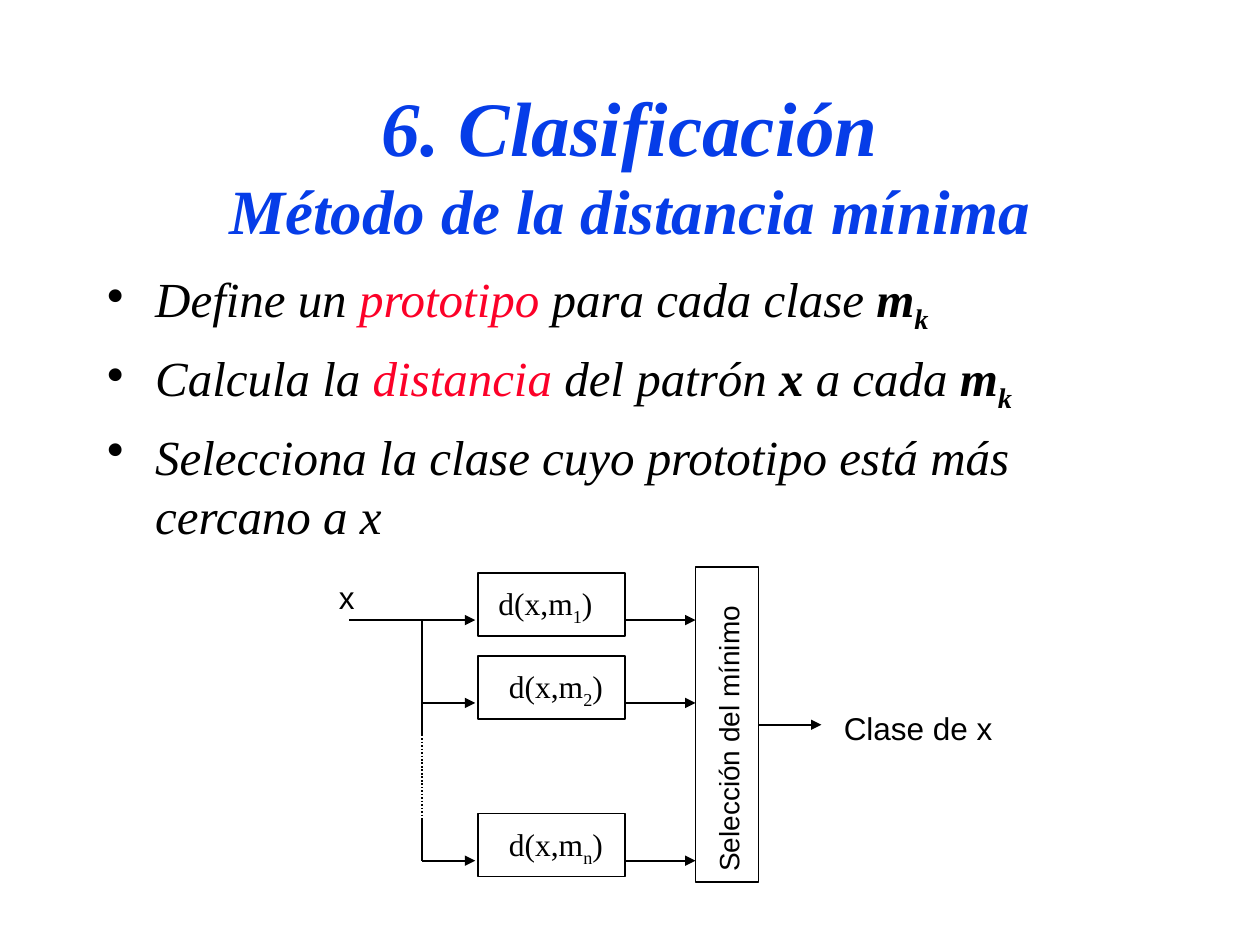
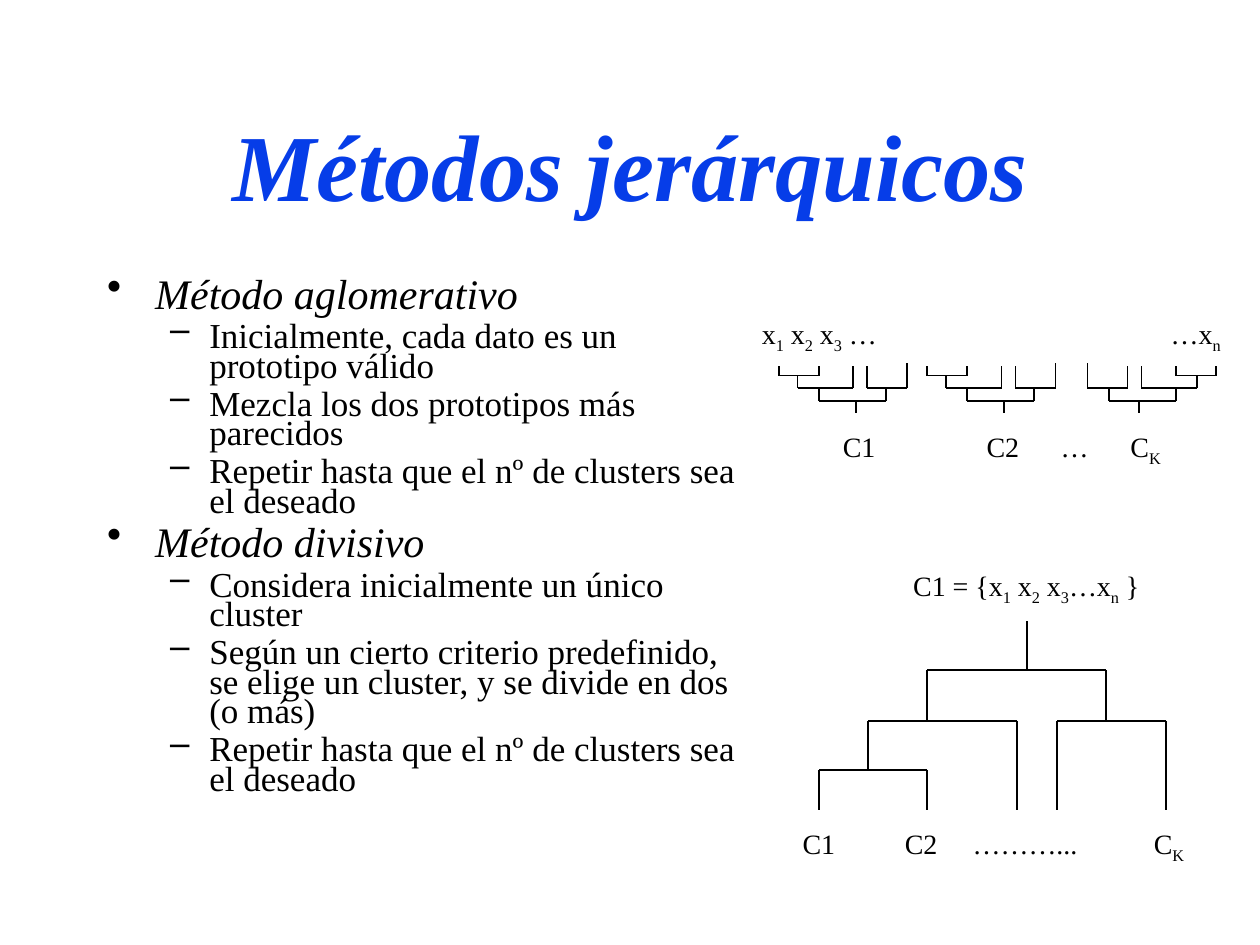
from lxml import etree
from pptx import Presentation
from pptx.dml.color import RGBColor
from pptx.enum.dml import MSO_LINE
from pptx.enum.shapes import MSO_CONNECTOR, MSO_SHAPE
from pptx.enum.text import MSO_ANCHOR, MSO_AUTO_SIZE, PP_ALIGN
from pptx.oxml.ns import qn
from pptx.util import Cm, Pt

STRAIGHT = MSO_CONNECTOR.STRAIGHT
RECT = MSO_SHAPE.RECTANGLE
DOTTED = MSO_LINE.ROUND_DOT
MIDDLE, TOP = MSO_ANCHOR.MIDDLE, MSO_ANCHOR.TOP
CENTER, LEFT = PP_ALIGN.CENTER, PP_ALIGN.LEFT
NO_FIT = MSO_AUTO_SIZE.NONE

BLUE = RGBColor(0x06, 0x3D, 0xE8)
RED = RGBColor(0xFC, 0x01, 0x28)
BLACK = RGBColor(0, 0, 0)
WHITE = RGBColor(0xFF, 0xFF, 0xFF)
SERIF, SANS = "Times New Roman", "Arial"

# Shared formats; positions are left, top, width, height in cm
TITLE_AT = (1.91, 1.7, 21.59, 3.18)
TITLE_FONT = dict(name=SERIF, bold=True, italic=True, color=BLUE)
BULLETS = [  # by level
    dict(char="•", margin=0.97, hanging=0.97),
    dict(char="–", margin=2.06, hanging=0.79),
]
STYLES = {
    "plain": {},
    "key": dict(color=RED),
    "bold": dict(bold=True),
    "sub": dict(subscript=True),
    "boldsub": dict(bold=True, subscript=True),
}

# Slide 1: minimum distance
DISTANCE_TITLE = [("6. Clasificación", 44), ("Método de la distancia mínima", 36)]
DISTANCE_AT = (1.91, 5.28, 21.59, 11.43)
DISTANCE_POINTS = [
    [("Define un ", "plain"), ("prototipo", "key"), (" para cada clase ", "plain"),
     ("m", "bold"), ("k", "boldsub")],
    [("Calcula la ", "plain"), ("distancia", "key"), (" del patrón", "plain"),
     (" x", "bold"), (" a cada ", "plain"), ("m", "bold"), ("k", "boldsub")],
    [("Selecciona la clase cuyo prototipo está más cercano a x", "plain")],
]
# Odd pieces between bars are subscripts: label, label left, line height
DISTANCES = [("d(x,m|1|)", 9.8, 12.5), ("d(x,m|2|)", 10.01, 14.17),
             ("d(x,m|n|)", 10.01, 17.35)]
INPUT_X, BRANCH_X, BOX_X, BOX_W, BOX_H = 7.04, 8.51, 9.63, 2.97, 1.27
SELECTOR = (14.02, 11.43, 1.27, 6.35)
TRUNK = [(12.5, 14.81, None), (14.6, 16.71, DOTTED), (16.51, 17.35, None)]
OUTPUT_Y, OUTPUT_LENGTH = 14.61, 1.27
FLOW_LABELS = [  # text, position, size, rotation
    ("x", (6.58, 11.53, 1.1, 1.02), 18, 0),
    ("Selección del mínimo", (11.56, 14.23, 6.24, 0.94), 16, 270),
    ("Clase de x", (16.76, 14.17, 3.8, 1.02), 18, 0),
]

# Slide 2: hierarchical methods
METHODS_TITLE = [("Métodos jerárquicos", 54)]
METHODS_AT = (1.91, 5.54, 13.39, 11.43)
METHODS = [
    ("Método aglomerativo", [
        "Inicialmente, cada dato es un prototipo válido",
        "Mezcla los dos prototipos más parecidos",
        "Repetir hasta que el nº de clusters sea el deseado"]),
    ("Método divisivo", [
        "Considera inicialmente un único cluster",
        "Según un cierto criterio predefinido, se elige un cluster, "
        "y se divide en dos (o más)",
        "Repetir hasta que el nº de clusters sea el deseado"]),
]
# Each fork: left x, right x, bar y, left leg end, right leg end
MERGE_FORKS = [
    (0, 0.81, 7.57, 7.37, 7.37),
    (0.38, 1.5, 7.82, 7.57, 7.37),
    (1.78, 2.59, 7.82, 7.37, 7.32),
    (0.81, 2.16, 8.08, 7.82, 7.82),
]
MERGE_STEM = (1.55, 8.08, 8.33)
CLUSTERS = [(15.7, 1), (18.69, 1), (24.51, -1)]  # origin, direction
SPLIT_FORKS = [
    (18.69, 22.3, 13.51, 14.53, 14.53),
    (17.5, 20.5, 14.53, 15.52, 16.33),
    (21.31, 23.5, 14.53, 16.33, 16.33),
    (16.51, 18.69, 15.52, 16.33, 16.33),
]
SPLIT_STEM = (20.7, 12.52, 13.51)
TREE_LABELS = [  # text, position, tab stops
    ("x|1| x|2| x|3| …\t…x|n|", (15.11, 6.25, 10.2, 1.04), [8.24]),
    ("C1 = {x|1| x|2| x|3|…x|n| }", (18.16, 11.33, 5.4, 1.04), []),
    ("C1\tC2\t…\tC|K|", (16.74, 8.53, 7.3, 1.04), [2.9, 4.39, 5.8]),
    ("C1\tC2\t………...\tC|K|", (15.93, 16.54, 8.6, 1.04), [2.06, 3.43, 7.08]),
]


def cm(values):
    return [Cm(v) for v in values]


def add_run(p, text, color=BLACK, subscript=False, size=18, **font):
    r = p.add_run()
    r.text = text
    r.font.size = Pt(size)
    r.font.color.rgb = color
    for name, value in font.items():
        setattr(r.font, name, value)
    if subscript:
        r.font._element.set("baseline", "-25000")


def frame_text(sp, anchor=TOP):
    tf = sp.text_frame
    settings = dict(word_wrap=True, auto_size=NO_FIT, vertical_anchor=anchor,
                    margin_left=Cm(0.25), margin_right=Cm(0.25),
                    margin_top=Cm(0.13), margin_bottom=Cm(0.13))
    for name, value in settings.items():
        setattr(tf, name, value)
    return tf


def add_slide(prs, title):
    s = prs.slides.add_slide(prs.slide_layouts[5])
    sp = s.shapes.title
    sp.left, sp.top, sp.width, sp.height = cm(TITLE_AT)
    p = frame_text(sp, MIDDLE).paragraphs[0]
    p.alignment = CENTER
    for i, (text, size) in enumerate(title):
        if i:
            p.add_line_break()
        add_run(p, text, size=size, **TITLE_FONT)
    return s


def add_bullets(s, at, items, spacing=None):
    """Each item: level, space before, base font, runs."""
    tf = frame_text(s.shapes.add_textbox(*cm(at)))
    for i, (level, before, font, runs) in enumerate(items):
        p = tf.add_paragraph() if i else tf.paragraphs[0]
        p.level = level
        p.space_before = Pt(before if i else 0)
        if spacing:
            p.line_spacing = spacing
        bullet = BULLETS[level]
        pPr = p._p.get_or_add_pPr()
        pPr.set("marL", str(int(Cm(bullet["margin"]))))
        pPr.set("indent", str(-int(Cm(bullet["hanging"]))))
        etree.SubElement(pPr, qn("a:buChar")).set("char", bullet["char"])
        for text, style in runs:
            add_run(p, text, **{**font, **STYLES[style]})


def add_label(s, text, at, size, name=SERIF, rotation=0, tabs=()):
    sp = s.shapes.add_textbox(*cm(at))
    sp.rotation = rotation
    p = frame_text(sp).paragraphs[0]
    p.alignment = LEFT
    if tabs:
        tab_list = etree.SubElement(p._p.get_or_add_pPr(), qn("a:tabLst"))
        for stop in tabs:
            tab = etree.SubElement(tab_list, qn("a:tab"))
            tab.set("pos", str(int(Cm(stop))))
            tab.set("algn", "l")
    for i, piece in enumerate(text.split("|")):
        if piece:
            add_run(p, piece, size=size, name=name, subscript=i % 2 == 1)


def add_line(s, x1, y1, x2, y2, arrow=False, dash=None):
    line = s.shapes.add_connector(STRAIGHT, *cm((x1, y1, x2, y2)))
    line.line.color.rgb = BLACK
    line.line.width = Pt(1)
    if dash:
        line.line.dash_style = dash
    if arrow:
        etree.SubElement(line.line._get_or_add_ln(), qn("a:tailEnd")).set("type", "triangle")
    etree.SubElement(line._element.spPr, qn("a:effectLst"))


def add_box(s, at):
    sp = s.shapes.add_shape(RECT, *cm(at))
    sp.shadow.inherit = False
    sp.fill.solid()
    sp.fill.fore_color.rgb = WHITE
    sp.line.color.rgb = BLACK
    sp.line.width = Pt(1)


def add_tree(s, forks, stem, origin=0, direction=1):
    def place(x):
        return origin + direction * x

    for left, right, bar, left_end, right_end in forks:
        add_line(s, place(left), bar, place(right), bar)
        for x, end in ((left, left_end), (right, right_end)):
            add_line(s, place(x), bar, place(x), end)
    x, start, end = stem
    add_line(s, place(x), start, place(x), end)


def build_distance(prs):
    s = add_slide(prs, DISTANCE_TITLE)
    font = dict(name=SERIF, size=28, italic=True)
    add_bullets(s, DISTANCE_AT, [(0, 7, font, runs) for runs in DISTANCE_POINTS])

    # Distance boxes with their arrows
    add_box(s, SELECTOR)
    for i, (text, label_x, y) in enumerate(DISTANCES):
        top = y - 0.95
        add_box(s, (BOX_X, top, BOX_W, BOX_H))
        add_label(s, text, (label_x, top + 0.1, 2.7, 1.12), 18)
        add_line(s, BRANCH_X if i else INPUT_X, y, BOX_X - 0.05, y, arrow=True)
        add_line(s, BOX_X + BOX_W, y, SELECTOR[0], y, arrow=True)

    # Trunk, output and labels
    for start, end, dash in TRUNK:
        add_line(s, BRANCH_X, start, BRANCH_X, end, dash=dash)
    output_x = SELECTOR[0] + SELECTOR[2]
    add_line(s, output_x, OUTPUT_Y, output_x + OUTPUT_LENGTH, OUTPUT_Y, arrow=True)
    for text, at, size, rotation in FLOW_LABELS:
        add_label(s, text, at, size, SANS, rotation)


def build_methods(prs):
    s = add_slide(prs, METHODS_TITLE)
    items = []
    for method, steps in METHODS:
        items.append((0, 6, dict(name=SERIF, size=24, italic=True), [(method, "plain")]))
        items += [(1, 5, dict(name=SERIF, size=20), [(step, "plain")]) for step in steps]
    add_bullets(s, METHODS_AT, items, spacing=0.7)

    # Merging and splitting trees
    for origin, direction in CLUSTERS:
        add_tree(s, MERGE_FORKS, MERGE_STEM, origin, direction)
    add_tree(s, SPLIT_FORKS, SPLIT_STEM)
    for text, at, tabs in TREE_LABELS:
        add_label(s, text, at, 16, tabs=tabs)


def main():
    prs = Presentation()
    prs.slide_width, prs.slide_height = Cm(25.4), Cm(19.05)
    build_distance(prs)
    build_methods(prs)
    prs.save("out.pptx")


if __name__ == "__main__":
    main()
